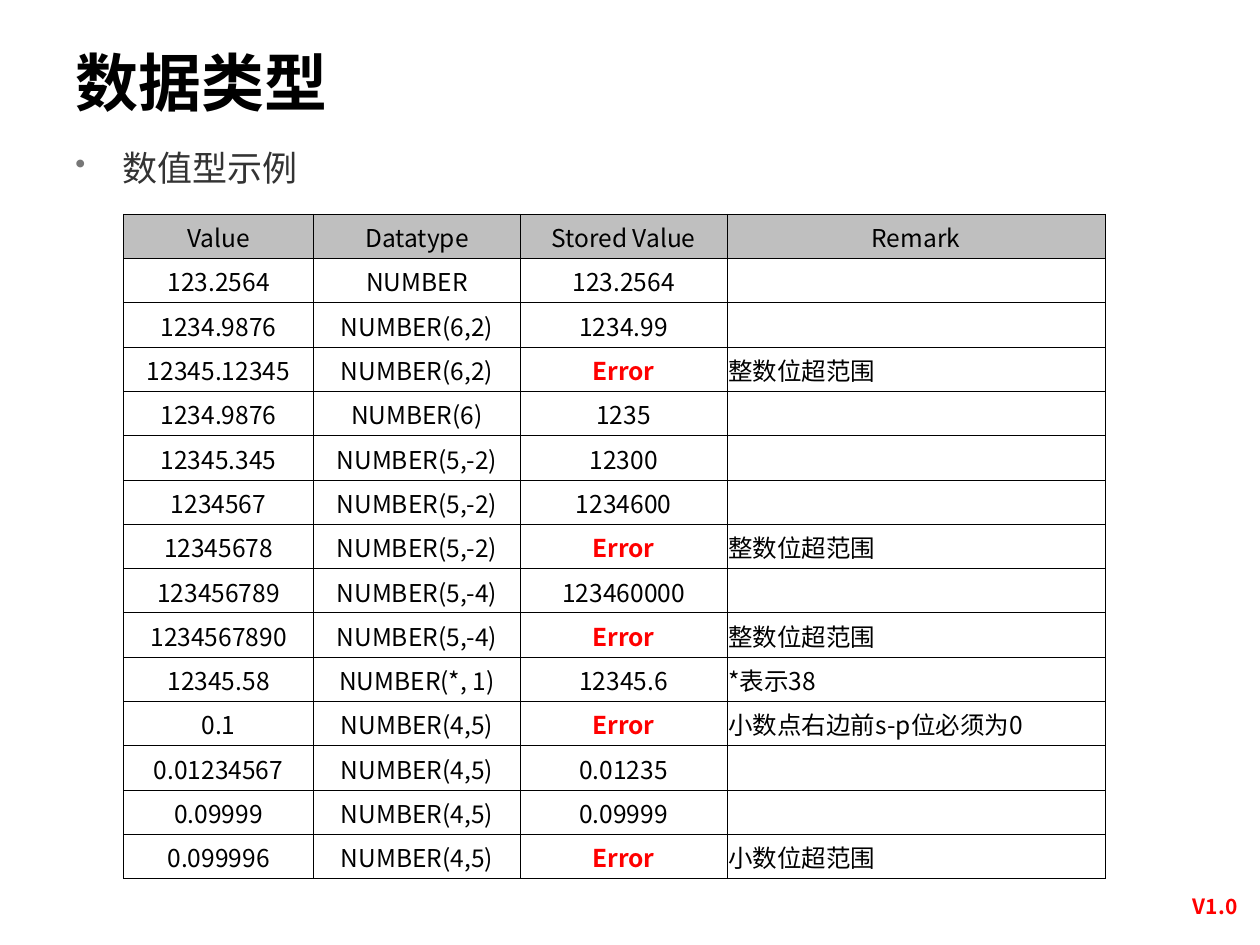
import dataclasses
import typing

import lxml.etree
import pptx
import pptx.dml.color
import pptx.enum.text
import pptx.oxml.ns
import pptx.util

Pt = pptx.util.Pt
ALIGN = pptx.enum.text.PP_ALIGN
ANCHOR = pptx.enum.text.MSO_ANCHOR


@dataclasses.dataclass(frozen=True)
class Theme:
    font: str = "Noto Sans CJK SC"
    black: str = "000000"
    body: str = "333333"
    bullet: str = "777777"
    alert: str = "FF0000"
    header: str = "BFBFBF"
    title_size: float = 36
    body_size: float = 20
    table_size: float = 14
    version_size: float = 12
    border: float = 0.5


class Box(typing.NamedTuple):
    left: float
    top: float
    width: float
    height: float

    def lengths(self) -> list[int]:
        return [Pt(value) for value in self]


class Example(typing.NamedTuple):
    value: str
    datatype: str
    stored: str
    remark: str = ""


THEME = Theme()
TITLE_BOX = Box(36, 21.6, 573.84, 55.44)
BODY_BOX = Box(36, 82.8, 641.52, 390.96)
VERSION_BOX = Box(666, 509.04, 56.88, 21.6)
COLUMN_WIDTHS = (108.72, 118.08, 118.08, 216)
ROW_HEIGHT = 25.34
TABLE_LEFT, TABLE_TOP = 70.56, 122.4
HEADER = Example("Value", "Datatype", "Stored Value", "Remark")
EXAMPLES = (
    Example("123.2564", "NUMBER", "123.2564"),
    Example("1234.9876", "NUMBER(6,2)", "1234.99"),
    Example("12345.12345", "NUMBER(6,2)", "Error", "整数位超范围"),
    Example("1234.9876", "NUMBER(6)", "1235"),
    Example("12345.345", "NUMBER(5,-2)", "12300"),
    Example("1234567", "NUMBER(5,-2)", "1234600"),
    Example("12345678", "NUMBER(5,-2)", "Error", "整数位超范围"),
    Example("123456789", "NUMBER(5,-4)", "123460000"),
    Example("1234567890", "NUMBER(5,-4)", "Error", "整数位超范围"),
    Example("12345.58", "NUMBER(*, 1)", "12345.6", "*表示38"),
    Example("0.1", "NUMBER(4,5)", "Error", "小数点右边前s-p位必须为0"),
    Example("0.01234567", "NUMBER(4,5)", "0.01235"),
    Example("0.09999", "NUMBER(4,5)", "0.09999"),
    Example("0.099996", "NUMBER(4,5)", "Error", "小数位超范围"),
)


def add_element(parent, tag: str, **attributes: str):
    return lxml.etree.SubElement(parent, pptx.oxml.ns.qn(tag), attributes)


def write_text(text_frame, text: str, *, size: float, color: str = THEME.black,
               bold: bool = False, align=ALIGN.LEFT, spacing: float | None = None):
    paragraph = text_frame.paragraphs[0]
    paragraph.alignment = align
    paragraph.line_spacing = spacing
    run = paragraph.add_run()
    run.text = text
    run.font.size = Pt(size)
    run.font.bold = bold
    run.font.name = THEME.font
    run.font.color.rgb = pptx.dml.color.RGBColor.from_string(color)
    add_element(run.font._element, "a:ea", typeface=THEME.font)
    return paragraph


def add_text_box(slide, box: Box, text: str, **text_format):
    shape = slide.shapes.add_textbox(*box.lengths())
    shape.text_frame.word_wrap = True
    return shape, write_text(shape.text_frame, text, **text_format)


def add_bullet(paragraph) -> None:
    properties = paragraph._p.get_or_add_pPr()
    indent = Pt(27)
    properties.set("marL", str(indent))
    properties.set("indent", str(-indent))
    color = add_element(properties, "a:buClr")
    add_element(color, "a:srgbClr", val=THEME.bullet)
    add_element(properties, "a:buSzPct", val="85000")
    add_element(properties, "a:buChar", char="•")


def draw_borders(cell) -> None:
    properties = cell._tc.get_or_add_tcPr()
    for side in ("L", "R", "T", "B"):
        line = add_element(properties, f"a:ln{side}", w=str(Pt(THEME.border)))
        fill = add_element(line, "a:solidFill")
        add_element(fill, "a:srgbClr", val=THEME.black)


def draw_cell(cell, text: str, *, is_header: bool, align) -> None:
    cell.margin_left = cell.margin_right = cell.margin_top = Pt(0.72)
    cell.margin_bottom = Pt(0)
    cell.vertical_anchor = ANCHOR.MIDDLE
    draw_borders(cell)
    if is_header:
        cell.fill.solid()
        cell.fill.fore_color.rgb = pptx.dml.color.RGBColor.from_string(THEME.header)
    else:
        cell.fill.background()
    if text:
        is_error = text == "Error"
        write_text(cell.text_frame, text, size=THEME.table_size, bold=is_error,
                   color=THEME.alert if is_error else THEME.black, align=align)


def draw_table(slide, rows: tuple[Example, ...]) -> None:
    box = Box(TABLE_LEFT, TABLE_TOP, sum(COLUMN_WIDTHS), ROW_HEIGHT * len(rows))
    table = slide.shapes.add_table(len(rows), len(COLUMN_WIDTHS), *box.lengths()).table
    table.horz_banding = False
    table.first_row = False
    for column, width in zip(table.columns, COLUMN_WIDTHS):
        column.width = Pt(width)
    for row_index, example in enumerate(rows):
        table.rows[row_index].height = Pt(ROW_HEIGHT)
        is_header = example is HEADER
        for column_index, text in enumerate(example):
            is_remark = column_index == len(COLUMN_WIDTHS) - 1 and not is_header
            draw_cell(table.cell(row_index, column_index), text, is_header=is_header,
                      align=ALIGN.LEFT if is_remark else ALIGN.CENTER)


def draw_title(slide, text: str) -> None:
    title = slide.shapes.title
    title.left, title.top, title.width, title.height = TITLE_BOX.lengths()
    title.text_frame.auto_size = pptx.enum.text.MSO_AUTO_SIZE.NONE
    title.text_frame.vertical_anchor = ANCHOR.MIDDLE
    write_text(title.text_frame, text, size=THEME.title_size, bold=True, spacing=0.9)


def main() -> None:
    presentation = pptx.Presentation()
    presentation.slide_width, presentation.slide_height = Pt(720), Pt(540)
    slide = presentation.slides.add_slide(presentation.slide_layouts[5])
    draw_title(slide, "数据类型")
    version, _ = add_text_box(slide, VERSION_BOX, "V1.0", size=THEME.version_size,
                              color=THEME.alert, bold=True, align=ALIGN.CENTER)
    version.text_frame.margin_top = version.text_frame.margin_bottom = Pt(1.5)
    draw_table(slide, (HEADER, *EXAMPLES))
    _, paragraph = add_text_box(slide, BODY_BOX, "数值型示例", size=THEME.body_size,
                                color=THEME.body, spacing=0.9)
    add_bullet(paragraph)
    presentation.save("out.pptx")


if __name__ == "__main__":
    main()
